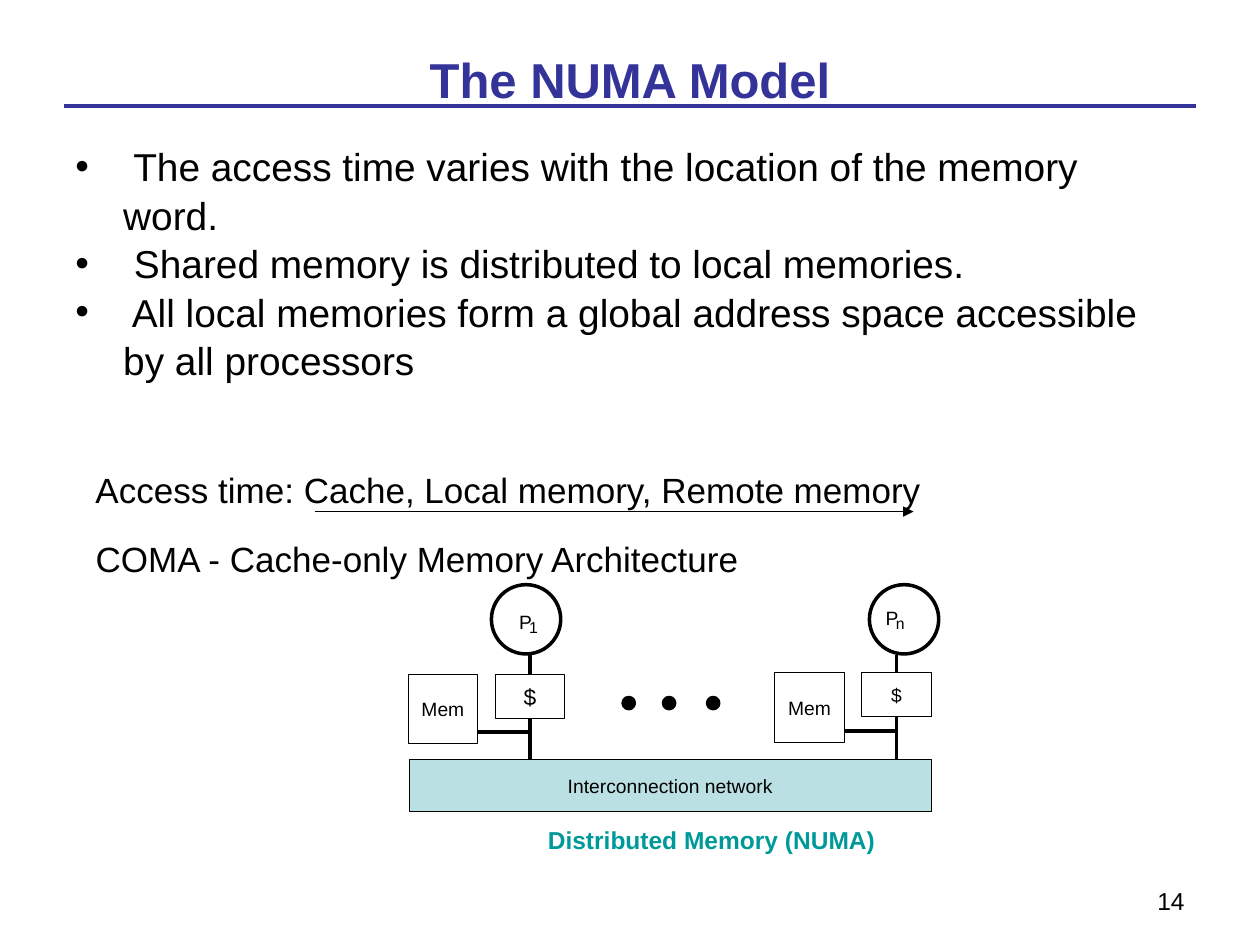
from lxml import etree
from pptx import Presentation
from pptx.dml.color import RGBColor
from pptx.enum.shapes import MSO_CONNECTOR, MSO_SHAPE
from pptx.enum.text import MSO_ANCHOR, PP_ALIGN
from pptx.oxml.ns import qn
from pptx.util import Inches, Pt

STRAIGHT = MSO_CONNECTOR.STRAIGHT
RECTANGLE, OVAL = MSO_SHAPE.RECTANGLE, MSO_SHAPE.OVAL
MIDDLE = MSO_ANCHOR.MIDDLE
LEFT, CENTER, RIGHT = PP_ALIGN.LEFT, PP_ALIGN.CENTER, PP_ALIGN.RIGHT
TOP_SIDE, BOTTOM_SIDE = 0, 2

COLORS = {
    "title": "333399",
    "text": "000000",
    "paper": "FFFFFF",
    "network": "BBE0E3",
    "caption": "009999",
}
FONT = "Arial"
TEXT_INSETS = (0.1, 0.05, 0.1, 0.05)
NO_INSETS = (0, 0, 0, 0)
THIN, THICK = 0.62, 2
NETWORK_TOP = 6.03


def color(name):
    return RGBColor.from_string(COLORS[name])


class SlideBuilder:
    def __init__(self, page):
        self.page = page

    def set_text(self, frame, lines, size, ink="text", bold=False, align=LEFT, insets=NO_INSETS):
        frame.margin_left, frame.margin_top, frame.margin_right, frame.margin_bottom = map(Inches, insets)
        frame.text = "\n".join(lines)
        for para in frame.paragraphs:
            para.alignment = align
            for span in para.runs:
                span.font.name = FONT
                span.font.size = Pt(size)
                span.font.bold = bold
                span.font.color.rgb = color(ink)

    def title(self, text, left, top, width, height):
        box = self.page.shapes.title
        box.left, box.top, box.width, box.height = map(Inches, (left, top, width, height))
        box.text_frame.vertical_anchor = MIDDLE
        self.set_text(box.text_frame, [text], 28, "title", True, CENTER, TEXT_INSETS)

    def label(self, text, left, top, width, height, size, wrap=False, **style):
        box = self.page.shapes.add_textbox(*map(Inches, (left, top, width, height)))
        box.text_frame.word_wrap = wrap
        self.set_text(box.text_frame, [text], size, **style)

    def bullets(self, lines, left, top, width, height, size, indent):
        box = self.page.shapes.add_textbox(*map(Inches, (left, top, width, height)))
        box.text_frame.word_wrap = True
        self.set_text(box.text_frame, lines, size, insets=TEXT_INSETS)
        for para in box.text_frame.paragraphs:
            para.line_spacing = 1.04
            properties = para._p.get_or_add_pPr()
            properties.set("marL", str(Inches(indent)))
            properties.set("indent", str(-Inches(indent)))
            etree.SubElement(properties, qn("a:buFont")).set("typeface", FONT)
            etree.SubElement(properties, qn("a:buChar")).set("char", "•")

    def shape(self, kind, left, top, width, height, fill=None, weight=THIN, text="", size=11):
        box = self.page.shapes.add_shape(kind, *map(Inches, (left, top, width, height)))
        box.shadow.inherit = False
        if fill:
            box.fill.solid()
            box.fill.fore_color.rgb = color(fill)
        else:
            box.fill.background()
        box.line.color.rgb = color("text")
        box.line.width = Pt(weight)
        if text:
            box.text_frame.vertical_anchor = MIDDLE
            box.text_frame.word_wrap = False
            self.set_text(box.text_frame, [text], size, align=CENTER)
        return box

    def line(self, start, end, weight=THICK, ink="text", arrow=False):
        link = self.page.shapes.add_connector(STRAIGHT, *map(Inches, (*start, *end)))
        link.line.color.rgb = color(ink)
        link.line.width = Pt(weight)
        if arrow:
            line_properties = link._element.spPr.find(qn("a:ln"))
            etree.SubElement(line_properties, qn("a:tailEnd")).set("type", "triangle")
        etree.SubElement(link._element.spPr, qn("a:effectLst"))
        return link

    def node(self, left, top, circle_left, label_top, index, cache_size):
        """Draw a processor with its cache and memory, wired to the network."""
        side, cache_height = 0.55, 0.35
        cache_left = left + 0.69
        center = cache_left + side / 2
        wire_top = top + 0.46
        self.shape(OVAL, circle_left, 4.64, side, side, weight=THICK)
        self.label("P", left + 0.88, label_top, 0.1, 0.18, 11)
        self.label(index, left + 0.96, label_top + 0.06, 0.07, 0.15, 9)
        self.shape(RECTANGLE, left, top, side, side, "paper", text="Mem")
        cache = self.shape(RECTANGLE, cache_left, top, side, cache_height, "paper",
                           text="$", size=cache_size)
        self.line((center, 5.2), (center, top)).end_connect(cache, TOP_SIDE)
        self.line((center, top + cache_height), (center, NETWORK_TOP)).begin_connect(cache, BOTTOM_SIDE)
        self.line((left + side, wire_top), (center, wire_top))


def main():
    deck = Presentation()
    deck.slide_width, deck.slide_height = Inches(10), Inches(7.5)
    slide = SlideBuilder(deck.slides.add_slide(deck.slide_layouts[5]))

    slide.line((0.51, 0.84), (9.49, 0.84), 2.25, "title")
    slide.title("The NUMA Model", 0.5, 0, 9, 1.25)
    slide.label("14", 7.17, 6.98, 2.33, 0.37, 14, wrap=True, align=RIGHT, insets=TEXT_INSETS)
    slide.bullets([
        " The access time varies with the location of the memory word.",
        " Shared memory is distributed to local memories.",
        " All local memories form a global address space accessible by all processors",
    ], 0.5, 1.07, 9, 1.77, 22.2, 0.38)

    slide.node(3.24, 5.35, 3.9, 4.84, "1", 13)
    slide.node(6.15, 5.34, 6.9, 4.81, "n", 11)
    slide.shape(RECTANGLE, 3.25, NETWORK_TOP, 4.14, 0.41, "network", text="Interconnection network")
    for dot_left in (4.95, 5.27, 5.62):
        slide.shape(OVAL, dot_left, 5.54, 0.08, 0.08, "text", 2.64)
    slide.label("Distributed Memory (NUMA)", 4.25, 6.5, 2.8, 0.29, 14,
                ink="caption", bold=True, insets=(0.1, 0.05, 0.1, 0))

    slide.label("Access time: Cache, Local memory, Remote memory",
                0.66, 3.67, 6.77, 0.44, 20, insets=TEXT_INSETS)
    slide.line((2.5, 4.06), (7.25, 4.06), 0.75, arrow=True)
    slide.label("COMA - Cache-only Memory Architecture",
                0.66, 4.22, 5.49, 0.44, 20, insets=TEXT_INSETS)
    deck.save("out.pptx")


if __name__ == "__main__":
    main()
